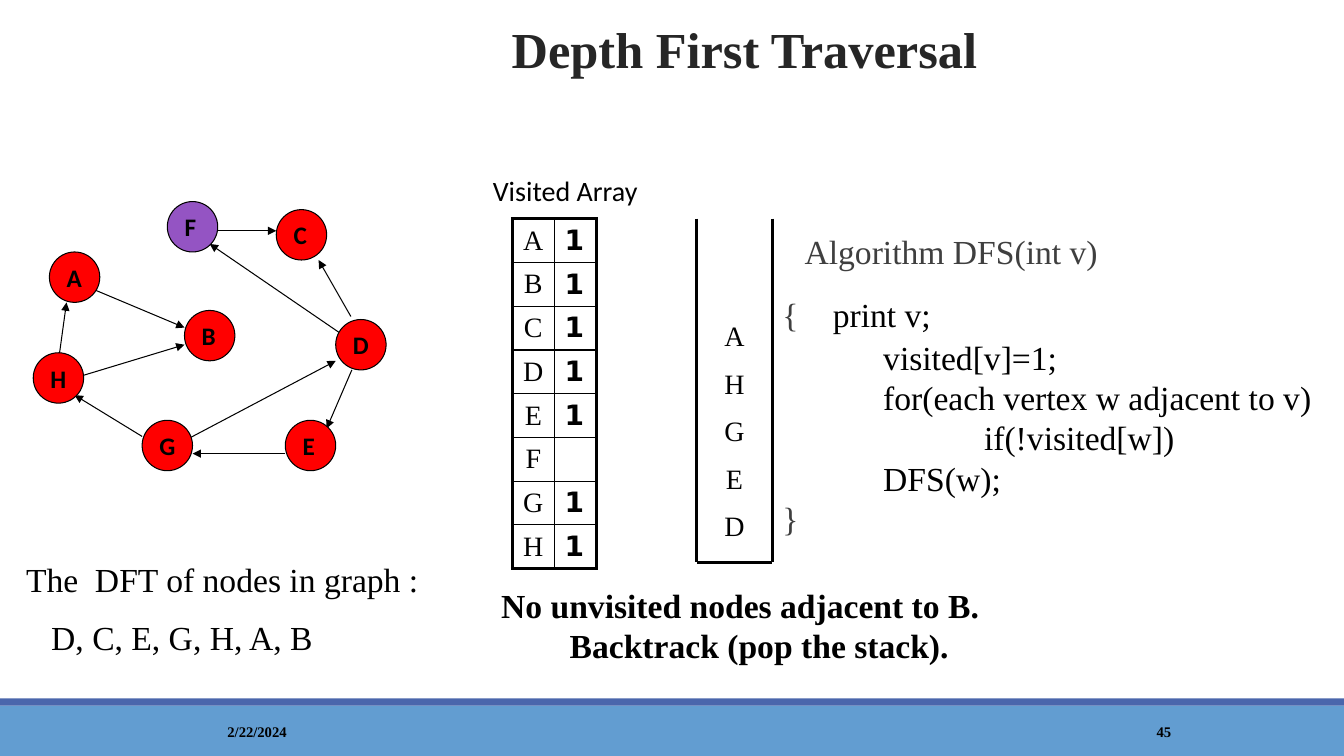
"""Builds a slide on depth first traversal with its graph, visited array, stack and algorithm."""
from lxml import etree
from pptx import Presentation
from pptx.dml.color import RGBColor
from pptx.enum.shapes import MSO_CONNECTOR, MSO_SHAPE
from pptx.enum.text import MSO_ANCHOR, MSO_AUTO_SIZE, PP_ALIGN
from pptx.oxml.ns import qn
from pptx.util import Pt

PX = 9144
LEFT, CENTER = PP_ALIGN.LEFT, PP_ALIGN.CENTER
TOP, MIDDLE = MSO_ANCHOR.TOP, MSO_ANCHOR.MIDDLE
RECTANGLE, OVAL = MSO_SHAPE.RECTANGLE, MSO_SHAPE.OVAL
STRAIGHT = MSO_CONNECTOR.STRAIGHT
NO_AUTOFIT = MSO_AUTO_SIZE.NONE

BLACK = RGBColor(0x00, 0x00, 0x00)
TITLE_GRAY = RGBColor(0x26, 0x26, 0x26)
CODE_GRAY = RGBColor(0x3F, 0x3F, 0x3F)
VISITED_RED = RGBColor(0xFF, 0x00, 0x00)
PENDING_PURPLE = RGBColor(0x94, 0x54, 0xC3)
FOOTER_BLUE = RGBColor(0x62, 0x9D, 0xD1)
RULE_BLUE = RGBColor(0x4A, 0x66, 0xAC)

SERIF, SANS, DIGITS = "Times New Roman", "Calibri", "DejaVu Sans"

NODE_SIZE = 50
NODES = {"A": (49, 250), "B": (183, 308), "C": (274, 208), "D": (333, 317),
         "E": (283, 417), "F": (166, 200), "G": (141, 417), "H": (33, 350)}
EDGES = [(341, 333, 208, 242), (349, 367, 324, 425), (74, 375, 183, 342),
         (174, 442, 333, 358), (58, 358, 66, 300), (83, 283, 183, 325),
         (348, 314, 316, 258), (283, 450, 191, 450), (141, 433, 74, 392),
         (216, 229, 274, 229)]
PENDING = "F"
STACK = "AHGED"
STACK_LEFT, STACK_TOP, STACK_RIGHT, STACK_BOTTOM = 691, 217, 766, 558
CODE = [("Algorithm DFS(int v)", 22, 0, CODE_GRAY), ("{\tprint v;", 0, 16, BLACK),
        ("visited[v]=1;", 100, 2, BLACK),
        ("for(each vertex w adjacent to v)", 100, 0, BLACK),
        ("if(!visited[w])", 200, 0, BLACK), ("DFS(w);", 100, 0, BLACK),
        ("}", 0, 0, CODE_GRAY)]


def lengths(*values):
    return [value * PX for value in values]


class SlideBuilder:
    def __init__(self):
        self.deck = Presentation()
        self.deck.slide_width, self.deck.slide_height = lengths(1333, 750)
        self.slide = self.deck.slides.add_slide(self.deck.slide_layouts[5])
        self.shapes = self.slide.shapes

    def set_paragraph(self, paragraph, text, size, font=SERIF, color=BLACK, bold=False,
                      align=LEFT, before=0, margin=0, indent=0, tab=None):
        properties = paragraph._p.get_or_add_pPr()
        properties.set("marL", str(margin * PX))
        properties.set("indent", str(indent * PX))
        if tab:
            stops = etree.SubElement(properties, qn("a:tabLst"))
            etree.SubElement(stops, qn("a:tab"), pos=str(tab * PX), algn="l")
        paragraph.alignment = align
        if before:
            paragraph.space_before = Pt(before)
        style = paragraph.font
        style.name, style.size, style.bold = font, Pt(size), bold
        style.color.rgb = color
        paragraph.add_run().text = text

    def title(self, text, box):
        title = self.shapes.title
        title.left, title.top, title.width, title.height = lengths(*box)
        frame = title.text_frame
        frame.auto_size, frame.vertical_anchor = NO_AUTOFIT, TOP
        heading = frame.paragraphs[0]
        self.set_paragraph(heading, text, 36, color=TITLE_GRAY, bold=True, align=CENTER)
        heading.line_spacing = 0.85

    def text(self, box, lines, size, anchor=TOP, inset=10, **shared):
        frame = self.shapes.add_textbox(*lengths(*box)).text_frame
        frame.word_wrap, frame.vertical_anchor = True, anchor
        frame.margin_left = frame.margin_right = inset * PX
        for number, (line, own) in enumerate(lines):
            paragraph = frame.add_paragraph() if number else frame.paragraphs[0]
            self.set_paragraph(paragraph, line, size, **{**shared, **own})
        return frame

    def shape(self, kind, box, fill, outline=None):
        shape = self.shapes.add_shape(kind, *lengths(*box))
        shape.shadow.inherit = False
        shape.fill.solid()
        shape.fill.fore_color.rgb = fill
        if outline is None:
            shape.line.fill.background()
        else:
            shape.line.color.rgb, shape.line.width = outline, Pt(0.75)
        return shape

    def node(self, name, place, fill):
        frame = self.shape(OVAL, (*place, NODE_SIZE, NODE_SIZE), fill, BLACK).text_frame
        frame.vertical_anchor = MIDDLE
        self.set_paragraph(frame.paragraphs[0], name, 18, SANS, bold=True)

    def line(self, ends, width, arrow=False):
        connector = self.shapes.add_connector(STRAIGHT, *lengths(*ends))
        connector.line.color.rgb, connector.line.width = BLACK, Pt(width)
        properties = connector._element.spPr
        if arrow:
            etree.SubElement(properties.find(qn("a:ln")), qn("a:tailEnd"), type="triangle")
        etree.SubElement(properties, qn("a:effectLst"))

    def border(self, cell, side, width):
        line = etree.SubElement(cell._tc.get_or_add_tcPr(), qn(f"a:ln{side}"),
                                w=str(int(Pt(width))))
        fill = etree.SubElement(line, qn("a:solidFill"))
        etree.SubElement(fill, qn("a:srgbClr"), val=str(BLACK))

    def table(self, left, top, column_width, row_height, rows):
        last = len(rows) - 1
        table = self.shapes.add_table(len(rows), 2, *lengths(
            left, top, 2 * column_width, row_height * len(rows))).table
        table.first_row = table.horz_banding = False
        for row, (name, mark) in enumerate(rows):
            for column, content in enumerate((name, mark)):
                cell = table.cell(row, column)
                cell.vertical_anchor = MIDDLE
                outer = {"L": column == 0, "R": column == 1, "T": row == 0, "B": row == last}
                for side, is_outer in outer.items():
                    self.border(cell, side, 2.25 if is_outer else 1)
                cell.fill.background()
                paragraph = cell.text_frame.paragraphs[0]
                if column == 0:
                    self.set_paragraph(paragraph, content, 20, align=CENTER)
                elif content:
                    self.set_paragraph(paragraph, content, 20, DIGITS, bold=True)


def main():
    builder = SlideBuilder()
    builder.shape(RECTANGLE, (0, 700, 1333, 50), FOOTER_BLUE)
    builder.shape(RECTANGLE, (0, 693, 1333, 7), RULE_BLUE)
    builder.title("Depth First Traversal", (172, 22, 1133, 74))

    for edge in EDGES:
        builder.line(edge, 0.75, arrow=True)
    for name, place in NODES.items():
        builder.node(name, place, PENDING_PURPLE if name == PENDING else VISITED_RED)

    builder.text((479, 167, 183, 43), [("Visited Array", {})], 20, font=SANS)
    builder.table(508, 217, 42, 42, [(name, "" if name == PENDING else "1") for name in NODES])

    for wall in (STACK_LEFT, STACK_RIGHT):
        builder.line((wall, STACK_TOP, wall, STACK_BOTTOM), 2.25)
    builder.line((STACK_LEFT, STACK_BOTTOM, STACK_RIGHT, STACK_BOTTOM), 2.25)
    builder.text((STACK_LEFT, 311, STACK_RIGHT - STACK_LEFT, 249),
                 [(name, {"before": 10 if level else 0}) for level, name in enumerate(STACK)],
                 20, align=CENTER)

    code = builder.text((776, 224, 541, 318),
                        [(line, {"margin": margin, "before": before, "color": color,
                                 "tab": 107 if "\t" in line else None})
                         for line, margin, before, color in CODE], 24, inset=0)
    opening = code.paragraphs[1]
    opening.runs[0].text = "{"
    opening.runs[0].font.color.rgb = CODE_GRAY
    opening.add_run().text = "\tprint v;"

    builder.text((16, 550, 450, 111),
                 [("The  DFT of nodes in graph :", {}),
                  ("D, C, E, G, H, A, B", {"before": 12, "margin": 25})], 24)
    builder.text((483, 575, 502, 91),
                 [("No unvisited nodes adjacent to B. Backtrack (pop the stack).", {})],
                 24, bold=True, align=CENTER, margin=38, indent=-38)

    for footer, box in (("2/22/2024", (120, 706, 270, 40)), ("45", (1083, 706, 143, 40))):
        builder.text(box, [(footer, {})], 10.5, MIDDLE, bold=True, align=CENTER)
    builder.deck.save("out.pptx")


if __name__ == "__main__":
    main()
